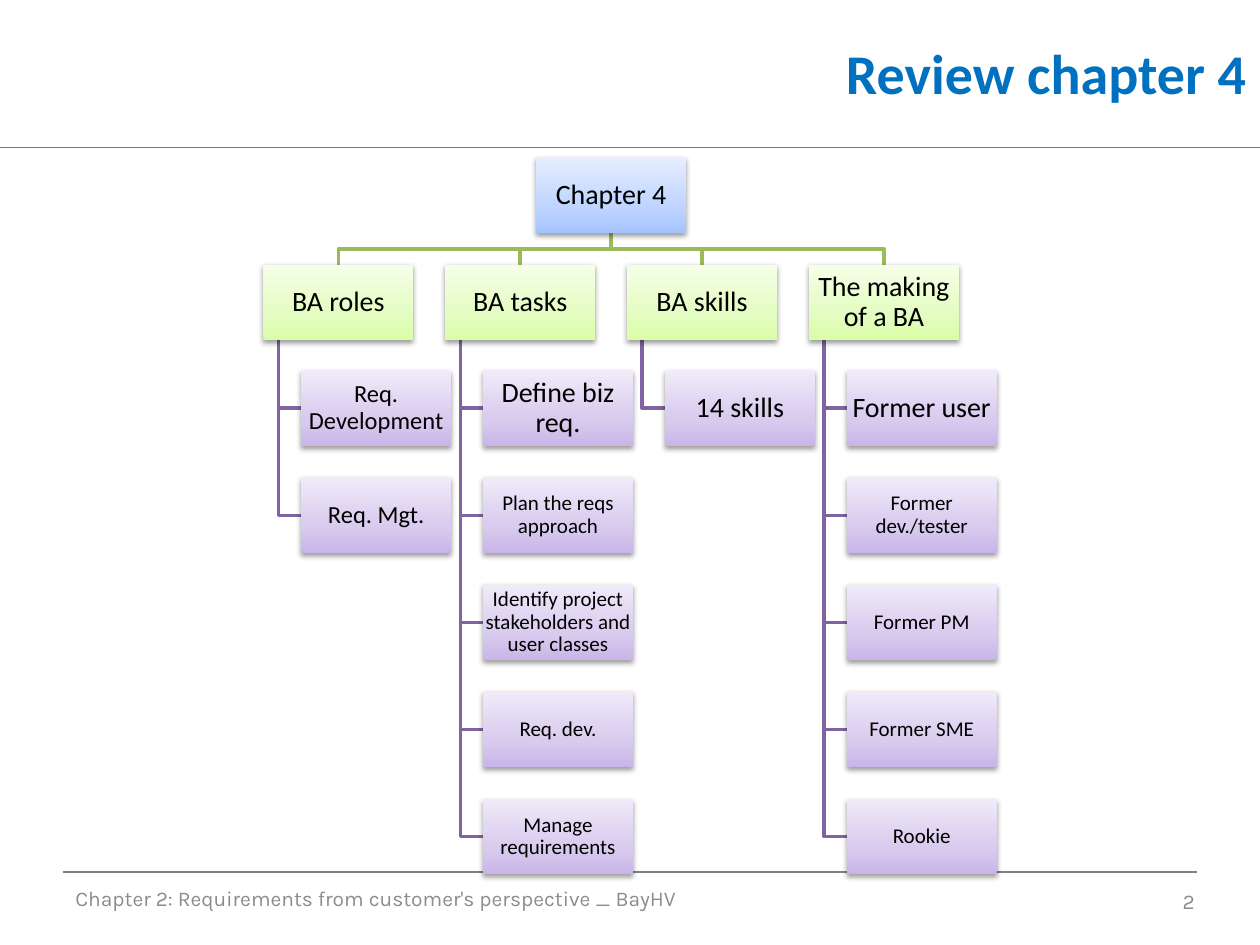
from lxml import etree
from pptx import Presentation
from pptx import util as u
from pptx.dml import color
from pptx.enum import shapes, text
from pptx.oxml import ns

WIDE, HIGH = 1.19, 0.6
LEFT, PITCH = 2.09, (6.42 - 2.09) / 3
ROOT_TOP, HEAD_TOP, KID_TOP, STEP = 1.25, 2.1, 2.94, 0.85
STEM, INDENT = 0.12, 0.3

BLUE = ("A4C4FF", "BFD4FF", "E6EEFF")
GREEN = ("DAFDA7", "E4FCC2", "F5FFE7")
PURPLE = ("C9B5E8", "D8CBEE", "F0EAF9")

# Each column: heading, then its (text, size) boxes
TREE = [
    ("BA roles", [("Req. Development", 14), ("Req. Mgt.", 14)]),
    ("BA tasks", [("Define biz req.", 16), ("Plan the reqs approach", 12),
                  ("Identify project stakeholders and user classes", 12),
                  ("Req. dev.", 12), ("Manage requirements", 12)]),
    ("BA skills", [("14 skills", 16)]),
    ("The making of a BA", [("Former user", 16), ("Former dev./tester", 12),
                            ("Former PM", 12), ("Former SME", 12),
                            ("Rookie", 12)]),
]


def paint(code):
    return color.RGBColor.from_string(code)


def assign(item, values):
    for key, value in values.items():
        setattr(item, key, value)


def write(shape, words, size, align, face="Calibri", tint="000000",
          bold=False, inset=None, space=None):
    frame = shape.text_frame
    assign(frame, {"word_wrap": True, "vertical_anchor": text.MSO_ANCHOR.MIDDLE})
    if inset is not None:
        sides = ("left", "right", "top", "bottom")
        assign(frame, {f"margin_{side}": u.Inches(inset) for side in sides})
    para = frame.paragraphs[0]
    assign(para, {"alignment": align, "line_spacing": space})
    run = para.add_run()
    run.text = words
    assign(run.font, {"name": face, "size": u.Pt(size), "bold": bold})
    run.font.color.rgb = paint(tint)


def label(slide, place, *args, **kinds):
    box = slide.shapes.add_textbox(*map(u.Inches, place))
    write(box, *args, **kinds)


def rule(slide, x1, x2, y, tint):
    ends = map(u.Inches, (x1, y, x2, y))
    line = slide.shapes.add_connector(shapes.MSO_CONNECTOR.STRAIGHT, *ends)
    line.line.width = u.Pt(0.75)
    line.line.color.rgb = paint(tint)
    etree.SubElement(line._element.spPr, ns.qn("a:effectLst"))


def elbow(slide, points, tint):
    spots = [(u.Inches(x), u.Inches(y)) for x, y in points]
    build = slide.shapes.build_freeform(*spots[0])
    build.add_line_segments(spots[1:], close=False)
    shape = build.convert_to_shape()
    shape.shadow.inherit = False
    shape.fill.background()
    shape.line.width = u.Pt(2)
    shape.line.color.rgb = paint(tint)


def shade(shape, tints):
    """Three-stop upward gradient and a soft shadow below."""
    stops = "".join(f'<a:gs pos="{pos}"><a:srgbClr val="{tint}"/></a:gs>'
                    for pos, tint in zip((0, 35000, 100000), tints))
    space = ns.nsdecls("a")
    grad = etree.fromstring(
        f'<a:gradFill {space} rotWithShape="1"><a:gsLst>{stops}</a:gsLst>'
        '<a:lin ang="16200000" scaled="0"/></a:gradFill>')
    blur = etree.fromstring(
        f'<a:effectLst {space}><a:outerShdw blurRad="40000" dist="20000" '
        'dir="5400000" rotWithShape="0"><a:srgbClr val="000000">'
        '<a:alpha val="38000"/></a:srgbClr></a:outerShdw></a:effectLst>')
    props = shape._element.spPr
    props.find(ns.qn("a:prstGeom")).addnext(grad)
    props.append(blur)


def node(slide, x, y, words, size, tints):
    place = map(u.Inches, (x, y, WIDE, HIGH))
    shape = slide.shapes.add_shape(shapes.MSO_SHAPE.RECTANGLE, *place)
    shape.line.fill.background()
    shade(shape, tints)
    write(shape, words, size, text.PP_ALIGN.CENTER, inset=0.01, space=0.9)


def links(slide, x, count, root):
    """Lines from the root to a heading and from it to its boxes."""
    mid, top = x + WIDE / 2, ROOT_TOP + HIGH
    bend = (top + HEAD_TOP) / 2
    elbow(slide, [(root, top), (root, bend), (mid, bend), (mid, HEAD_TOP)],
          "9BBB59")
    stem = x + STEM
    for row in range(count):
        y = KID_TOP + row * STEP + HIGH / 2
        elbow(slide, [(stem, HEAD_TOP + HIGH), (stem, y), (x + INDENT, y)],
              "8064A2")


def chart(slide):
    spots = [LEFT + i * PITCH for i in range(len(TREE))]
    root = (spots[0] + spots[-1] + WIDE) / 2
    # Lines lie behind all boxes
    for x, (_, kids) in zip(spots, TREE):
        links(slide, x, len(kids), root)
    node(slide, root - WIDE / 2, ROOT_TOP, "Chapter 4", 16, BLUE)
    for x, (head, kids) in zip(spots, TREE):
        node(slide, x, HEAD_TOP, head, 16, GREEN)
        for row, (words, size) in enumerate(kids):
            node(slide, x + INDENT, KID_TOP + row * STEP, words, size, PURPLE)


def main():
    deck = Presentation()
    assign(deck, {"slide_width": u.Inches(10), "slide_height": u.Inches(7.5)})
    slide = deck.slides.add_slide(deck.slide_layouts[6])
    side = text.PP_ALIGN

    # Rules, title and footer
    rule(slide, 0, 10, 1.17, "4B7EBC")
    rule(slide, 0.5, 9.5, 6.92, "808080")
    label(slide, (2.9, 0, 7.09, 1.15), "Review chapter 4", 32, side.RIGHT,
          tint="0070C0", bold=True)
    foot = {"face": "Karla", "tint": "8C8C8C"}
    label(slide, (0.5, 6.93, 6.67, 0.4),
          "Chapter 2: Requirements from customer's perspective _ BayHV",
          12, side.LEFT, **foot)
    label(slide, (7.25, 6.95, 2.33, 0.4), "2", 12, side.RIGHT, **foot)

    # Tree of topics
    chart(slide)
    deck.save("out.pptx")


if __name__ == "__main__":
    main()
